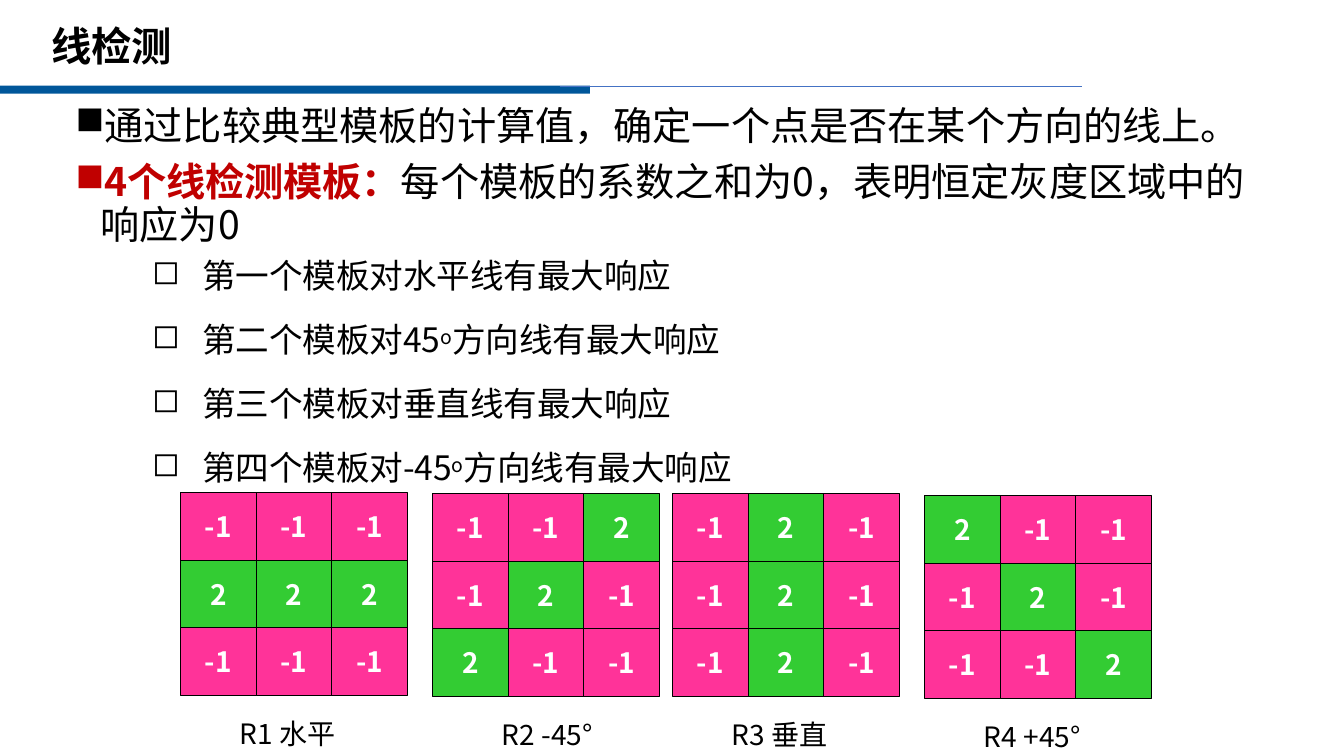
from dataclasses import dataclass

from pptx import Presentation
from pptx.dml.color import RGBColor as Rgb
from pptx.enum.shapes import MSO_CONNECTOR as Conn, MSO_SHAPE as Kind
from pptx.enum.text import MSO_ANCHOR as Anchor, PP_ALIGN as Align
from pptx.oxml.ns import qn
from pptx.oxml.xmlchemy import OxmlElement as Node
from pptx.util import Inches, Pt

FACE = "Noto Sans CJK SC"
HUES = {
    "ink": "000000", "paper": "FFFFFF", "red": "C00000", "bar": "00579A",
    "rule": "4472C4", "pink": "FF3399", "green": "33CC33",
}
FORMS = {
    "title": {"size": Pt(28.8), "bold": True},
    "main": {"size": Pt(28), "bold": False},
    "key": {"size": Pt(28), "bold": True},
    "sub": {"size": Pt(24), "bold": False},
    "cell": {"size": Pt(20), "bold": True},
    "label": {"size": Pt(20), "bold": False},
}
CELL_W, CELL_H = 0.75, 0.67


@dataclass
class Run:
    text: str
    form: str
    hue: str = "ink"
    tight: bool = False
    rise: bool = False


@dataclass
class Item:
    runs: list[Run]
    level: int = 0
    before: float = 10


@dataclass
class Mask:
    left: float
    top: float
    rows: tuple[tuple[int, ...], ...]
    label: str
    shift: float = 0.49
    width: float = 1.26


def color(hue: str) -> Rgb:
    return Rgb.from_string(HUES[hue])


def add_run(para, run: Run) -> None:
    part = para.add_run()
    part.text = run.text
    for name, value in FORMS[run.form].items():
        setattr(part.font, name, value)
    part.font.name = FACE
    part.font.color.rgb = color(run.hue)
    props = part.font._element
    if run.tight:
        props.set("spc", "-10")
    if run.rise:
        props.set("baseline", "23000")
    east = Node("a:ea")
    east.set("typeface", FACE)
    props.append(east)


def add_box(shapes, left: float, top: float, width: float, height: float):
    box = shapes.add_textbox(Inches(left), Inches(top), Inches(width), Inches(height))
    box.text_frame.word_wrap = True
    return box.text_frame


def add_rect(shapes, left: float, top: float, width: float, height: float, hue: str):
    rect = shapes.add_shape(Kind.RECTANGLE, Inches(left), Inches(top),
                            Inches(width), Inches(height))
    rect.shadow.inherit = False
    rect.fill.solid()
    rect.fill.fore_color.rgb = color(hue)
    return rect


def add_item(para, item: Item) -> None:
    para.level = item.level
    para.space_before = Pt(item.before)
    para.line_spacing = 1.0 if item.level else 0.9
    props = para._p.get_or_add_pPr()
    margin, indent = (1.26, -0.5) if item.level else (0.25, -0.25)
    props.set("marL", str(Inches(margin)))
    props.set("indent", str(Inches(indent)))
    mark = Node("a:buChar")
    mark.set("char", "◻" if item.level else "■")
    props.append(mark)
    for run in item.runs:
        add_run(para, run)


def add_mask(slide, mask: Mask) -> None:
    group = slide.shapes.add_group_shape().shapes
    for row, values in enumerate(mask.rows):
        for col, value in enumerate(values):
            cell = add_rect(group, mask.left + col * CELL_W, mask.top + row * CELL_H,
                            CELL_W, CELL_H, "green" if value > 0 else "pink")
            cell.line.color.rgb = color("ink")
            cell.line.width = Pt(0.75)
            frame = cell.text_frame
            frame.word_wrap = False
            frame.vertical_anchor = Anchor.MIDDLE
            para = frame.paragraphs[0]
            para.alignment = Align.CENTER
            add_run(para, Run(str(value), "cell", "paper"))
    frame = add_box(group, mask.left + mask.shift, mask.top + 2.17, mask.width, 0.44)
    add_run(frame.paragraphs[0], Run(mask.label, "label"))


def sub(*texts: str, before: float = 16.9) -> Item:
    """Second-level item; a lone "o" is a raised degree sign."""
    runs = [Run(text, "sub", tight=True, rise=text == "o") for text in texts]
    return Item(runs, 1, before)


ITEMS = [
    Item([Run("通过比较典型模板的计算值，确定一个点是否在某个方向的线上。", "main")]),
    Item([Run("4个线检测模板：", "key", "red", tight=True),
          Run("每个模板的系数之和为0，表明恒定灰度区域中的响应为0", "main")]),
    sub("第一个模板对水平线有最大响应", before=5),
    sub("第二个模板对45", "o", "方向线有最大响应"),
    sub("第三个模板对垂直线有最大响应"),
    sub("第四个模板对-45", "o", "方向线有最大响应"),
]
MASKS = [
    Mask(1.79, 4.89, ((-1, -1, -1), (2, 2, 2), (-1, -1, -1)), "R1 水平"),
    Mask(4.29, 4.9, ((-1, -1, 2), (-1, 2, -1), (2, -1, -1)), "R2 -45°", 0.59, 1.41),
    Mask(6.67, 4.9, ((-1, 2, -1),) * 3, "R3 垂直"),
    Mask(9.17, 4.92, ((2, -1, -1), (-1, 2, -1), (-1, -1, 2)), "R4 +45°", width=1.41),
]


def main() -> None:
    deck = Presentation()
    deck.slide_width, deck.slide_height = Inches(13.33), Inches(7.5)
    slide = deck.slides.add_slide(deck.slide_layouts[6])

    # Header bar and thin rule
    bar = add_rect(slide.shapes, 0, 0.85, 5.85, 0.08, "bar")
    bar.line.fill.background()
    rule = slide.shapes.add_connector(Conn.STRAIGHT, Inches(5.55), Inches(0.86),
                                      Inches(10.73), Inches(0.86))
    rule.line.color.rgb = color("rule")
    rule.line.width = Pt(1)
    rule._element.find(qn("p:spPr")).append(Node("a:effectLst"))

    # Title
    frame = add_box(slide.shapes, 0.41, 0.22, 12.44, 0.53)
    frame.vertical_anchor = Anchor.MIDDLE
    frame.paragraphs[0].line_spacing = 0.9
    add_run(frame.paragraphs[0], Run("线检测", "title"))

    # Bulleted text
    frame = add_box(slide.shapes, 0.65, 1.01, 12.03, 4.32)
    for index, item in enumerate(ITEMS):
        add_item(frame.add_paragraph() if index else frame.paragraphs[0], item)

    # Line masks with labels
    for mask in MASKS:
        add_mask(slide, mask)

    deck.save("out.pptx")


if __name__ == "__main__":
    main()
